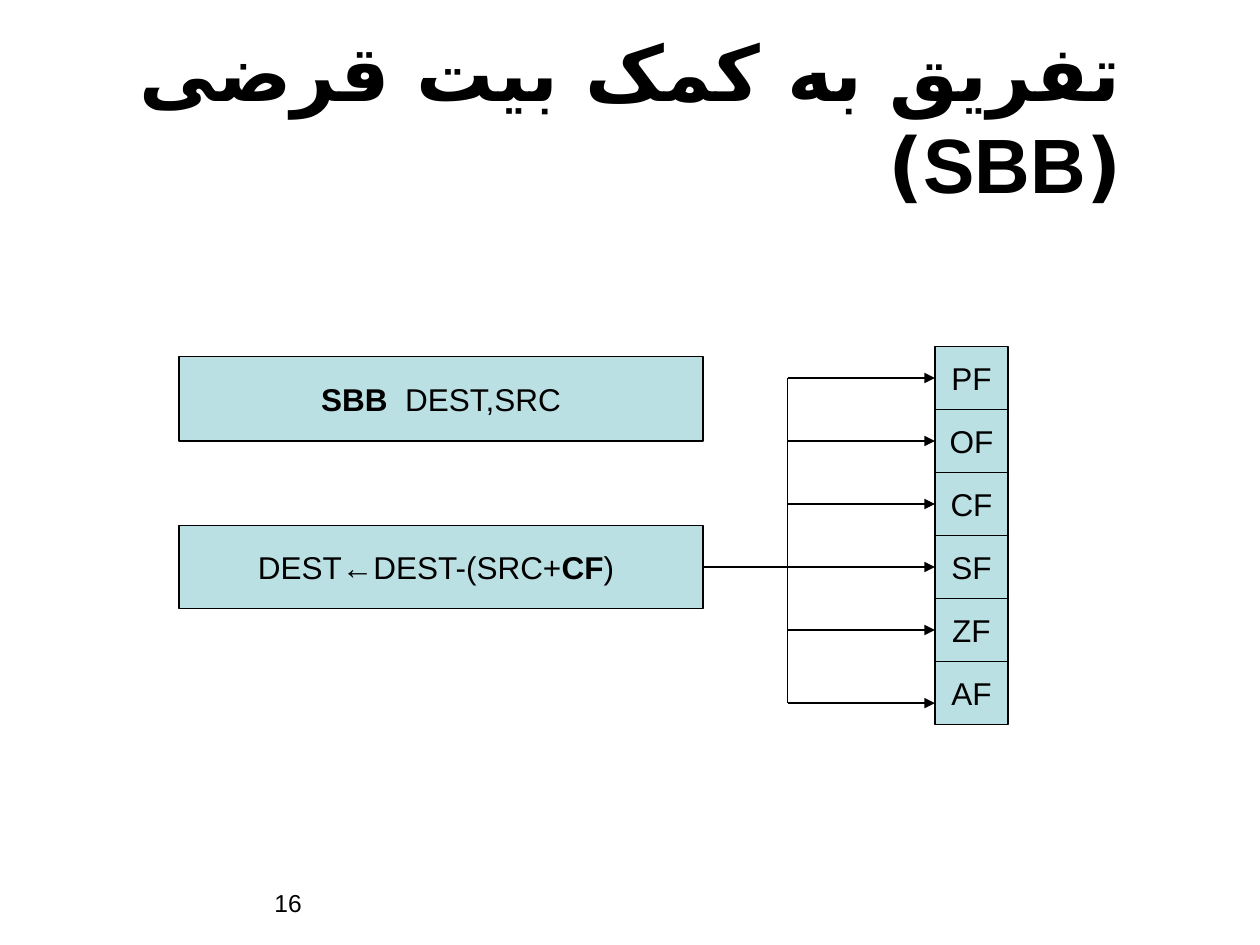
from lxml import etree
from pptx import Presentation
from pptx.dml.color import RGBColor
from pptx.enum.shapes import MSO_CONNECTOR, MSO_SHAPE
from pptx.enum.text import MSO_ANCHOR, MSO_AUTO_SIZE, PP_ALIGN
from pptx.oxml.ns import qn
from pptx.util import Inches, Pt

STRAIGHT = MSO_CONNECTOR.STRAIGHT
RECTANGLE = MSO_SHAPE.RECTANGLE
TOP, MIDDLE = MSO_ANCHOR.TOP, MSO_ANCHOR.MIDDLE
LEFT, CENTER, RIGHT = PP_ALIGN.LEFT, PP_ALIGN.CENTER, PP_ALIGN.RIGHT
NO_AUTOFIT = MSO_AUTO_SIZE.NONE
LEFT_SIDE, RIGHT_SIDE = 1, 3

THEME = {
    "font": "Arial",
    "persian_font": "DejaVu Sans",
    "ink": RGBColor(0x00, 0x00, 0x00),
    "box": RGBColor(0xBB, 0xE0, 0xE3),
    "line": Pt(0.75),
    "title": Pt(44),
    "body": Pt(18),
    "number": Pt(14),
}


def write_text(shape, runs, size, alignment, anchor=MIDDLE, wrap=False, rtl=False):
    frame = shape.text_frame
    frame_format = {"auto_size": NO_AUTOFIT, "word_wrap": wrap, "vertical_anchor": anchor}
    for name, value in frame_format.items():
        setattr(frame, name, value)
    paragraph = frame.paragraphs[0]
    paragraph.alignment = alignment
    if rtl:
        paragraph._p.get_or_add_pPr().set("rtl", "1")
    for text, bold in runs:
        run = paragraph.add_run()
        run.text = text
        run_format = {"name": THEME["font"], "size": size, "bold": bold}
        for name, value in run_format.items():
            setattr(run.font, name, value)
        run.font.color.rgb = THEME["ink"]
        complex_font = etree.SubElement(run._r.get_or_add_rPr(), qn("a:cs"))
        complex_font.set("typeface", THEME["persian_font"])


def add_line(start, end, arrow=False):
    points = [Inches(value) for value in (*start, *end)]
    connector = slide.shapes.add_connector(STRAIGHT, *points)
    connector.line.color.rgb = THEME["ink"]
    connector.line.width = THEME["line"]
    if arrow:
        tail = etree.SubElement(connector.line._get_or_add_ln(), qn("a:tailEnd"))
        tail.set("type", "triangle")
    etree.SubElement(connector._element.spPr, qn("a:effectLst"))
    return connector


presentation = Presentation()
presentation.slide_width = Inches(10)
presentation.slide_height = Inches(7.5)
slide = presentation.slides.add_slide(presentation.slide_layouts[5])

title = slide.shapes.title
title_place = {"left": 0, "top": 0.3, "width": 9, "height": 1.25}
for name, value in title_place.items():
    setattr(title, name, Inches(value))
write_text(title, [("تفریق به کمک بیت قرضی (SBB)", True)],
           THEME["title"], RIGHT, wrap=True, rtl=True)

number = slide.shapes.add_textbox(Inches(2.08), Inches(7), Inches(1.5), Inches(0.5))
write_text(number, [("16", False)], THEME["number"], LEFT, anchor=TOP, wrap=True)

FLAG_LEFT, FLAG_TOP, FLAG_WIDTH, FLAG_HEIGHT = 7.42, 2.75, 0.58, 0.5
FLAGS = ["PF", "OF", "CF", "SF", "ZF", "AF"]
boxes = [
    (1.42, 2.83, 4.16, 0.67, [("SBB", True), ("  DEST,SRC", False)], True),
    (1.42, 4.17, 4.16, 0.66,
     [(" DEST←DEST-(SRC+", False), ("CF", True), (")", False)], True),
]
for index, flag in enumerate(FLAGS):
    boxes.append((FLAG_LEFT, FLAG_TOP + index * FLAG_HEIGHT, FLAG_WIDTH, FLAG_HEIGHT,
                  [(flag, False)], False))

box_shapes = []
for left, top, width, height, runs, rtl in boxes:
    shape = slide.shapes.add_shape(
        RECTANGLE, Inches(left), Inches(top), Inches(width), Inches(height))
    shape.shadow.inherit = False
    shape.fill.solid()
    shape.fill.fore_color.rgb = THEME["box"]
    shape.line.color.rgb = THEME["ink"]
    shape.line.width = THEME["line"]
    write_text(shape, runs, THEME["body"], CENTER, rtl=rtl)
    box_shapes.append(shape)
operation, flag_shapes = box_shapes[1], box_shapes[2:]

BUS_X = 6.25
ARROW_ROWS = [3, 3.5, 4, 4.5, 5, 5.58]
stem = add_line((5.58, 4.5), (BUS_X, 4.5))
stem.begin_connect(operation, RIGHT_SIDE)
add_line((BUS_X, ARROW_ROWS[0]), (BUS_X, ARROW_ROWS[-1]))
for index, (row, flag_shape) in enumerate(zip(ARROW_ROWS, flag_shapes)):
    arrow = add_line((BUS_X, row), (FLAG_LEFT, row), arrow=True)
    if row == FLAG_TOP + (index + 0.5) * FLAG_HEIGHT:
        arrow.end_connect(flag_shape, LEFT_SIDE)

presentation.save("out.pptx")
